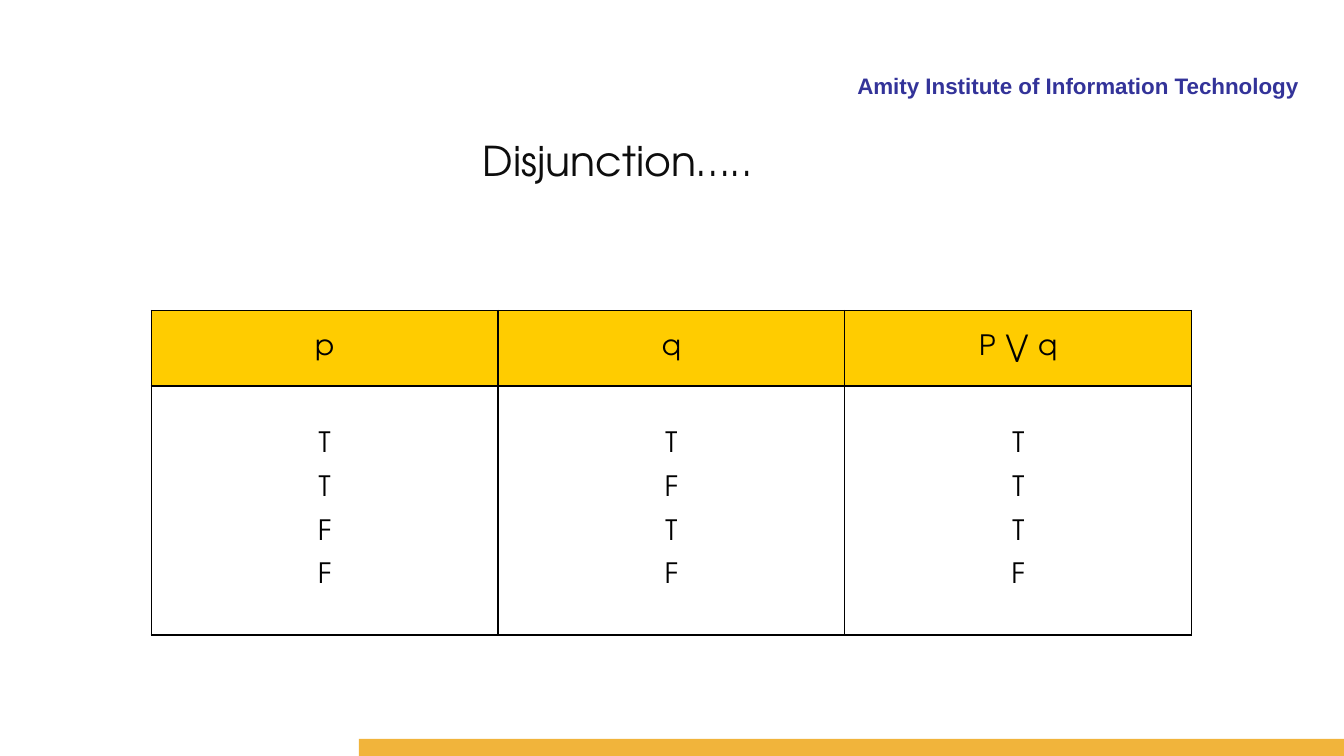
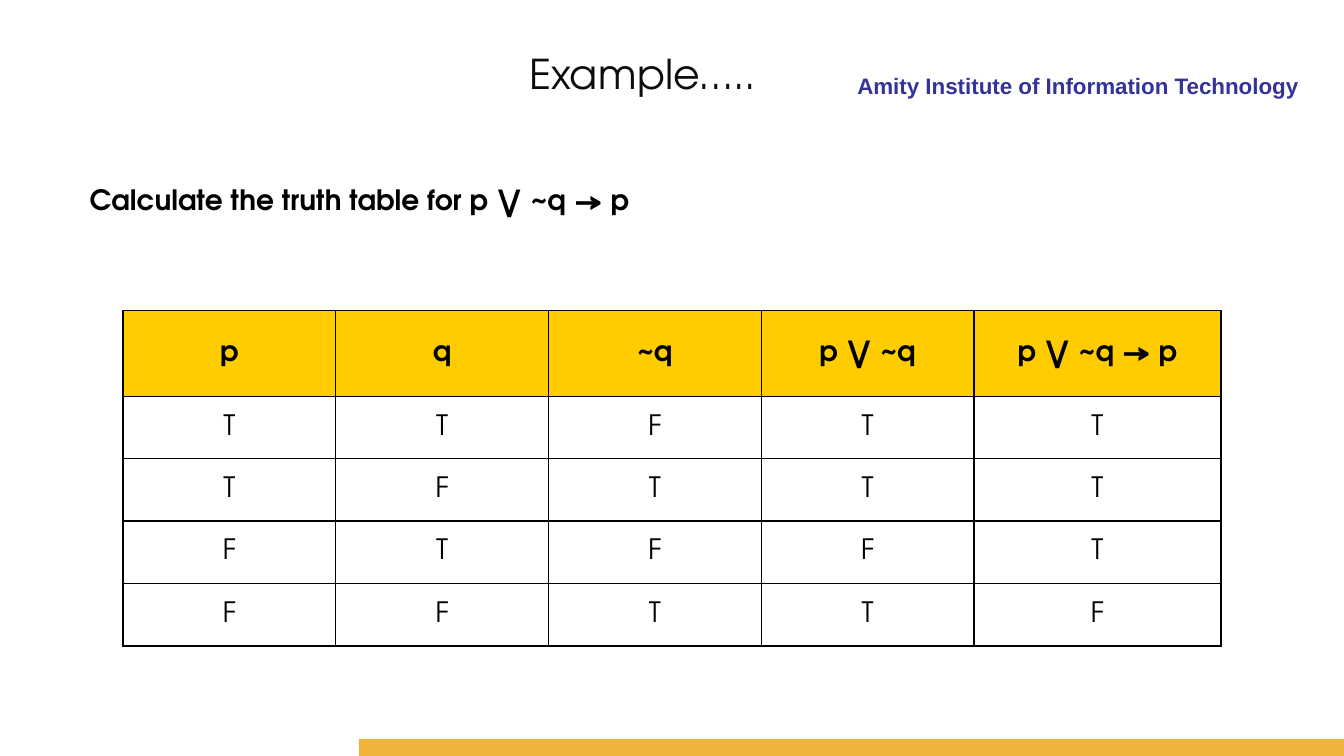
from lxml.etree import SubElement
from pptx import Presentation
from pptx.dml.color import RGBColor
from pptx.enum.shapes import MSO_SHAPE
from pptx.enum.text import MSO_ANCHOR, MSO_AUTO_SIZE, PP_ALIGN
from pptx.oxml.ns import qn
from pptx.util import Inches, Pt

COLORS = {
    "institute": "333399",
    "footer": "F1B43B",
    "header": "FFCC00",
    "title": "0D0D0D",
    "text": "000000",
    "border": "000000",
}
BODY_FONT = "TeX Gyre Adventor"
INSTITUTE_FONT = "Arial"
BODY_SIZE = 20
TITLE_SIZE = 29.3
BORDER_WIDTH = Pt(1)


def color(name):
    return RGBColor.from_string(COLORS[name])


def style_paragraph(paragraph, size, color_name, bold=False,
                    alignment=PP_ALIGN.LEFT, font_name=BODY_FONT):
    paragraph.alignment = alignment
    font = paragraph.font
    font.name = font_name
    font.size = Pt(size)
    font.bold = bold
    font.color.rgb = color(color_name)


def add_text(slide, box, text, size, color_name, wrap=True, **style):
    shape = slide.shapes.add_textbox(*map(Inches, box))
    frame = shape.text_frame
    frame.word_wrap = wrap
    frame.auto_size = MSO_AUTO_SIZE.SHAPE_TO_FIT_TEXT
    frame.text = text
    style_paragraph(frame.paragraphs[0], size, color_name, **style)


def add_footer_band(slide):
    shape = slide.shapes.add_shape(
        MSO_SHAPE.RECTANGLE, Inches(3.56), Inches(7.33), Inches(9.78), Inches(0.17))
    shape.shadow.inherit = False
    shape.fill.solid()
    shape.fill.fore_color.rgb = color("footer")
    shape.line.fill.background()


def add_base_slide(presentation, title, title_box):
    slide = presentation.slides.add_slide(presentation.slide_layouts[6])
    add_text(slide, (5.09, 0.67, 7.89, 0.33),
             "Amity Institute of Information Technology", 16, "institute",
             bold=True, alignment=PP_ALIGN.RIGHT, font_name=INSTITUTE_FONT)
    add_footer_band(slide)
    add_text(slide, title_box, title, TITLE_SIZE, "title", wrap=False)
    return slide


def add_borders(cell):
    properties = cell._tc.get_or_add_tcPr()
    for side in ("a:lnL", "a:lnR", "a:lnT", "a:lnB"):
        line = SubElement(properties, qn(side), w=str(int(BORDER_WIDTH)))
        fill = SubElement(line, qn("a:solidFill"))
        SubElement(fill, qn("a:srgbClr"), val=COLORS["border"])


def fill_cell(cell, text, is_header, bold, insets, gap):
    add_borders(cell)
    if is_header:
        cell.fill.solid()
        cell.fill.fore_color.rgb = color("header")
    else:
        cell.fill.background()
    cell.vertical_anchor = MSO_ANCHOR.MIDDLE
    cell.margin_left = cell.margin_right = Inches(insets[0])
    cell.margin_top = cell.margin_bottom = Inches(insets[1])
    cell.text = text
    for index, paragraph in enumerate(cell.text_frame.paragraphs):
        style_paragraph(paragraph, BODY_SIZE, "text", bold, PP_ALIGN.CENTER)
        if index:
            paragraph.space_before = Pt(gap)


def add_truth_table(slide, left, top, widths, heights, rows,
                    bold_header=False, insets=(0.1, 0.05), gap=0):
    frame = slide.shapes.add_table(
        len(rows), len(widths), Inches(left), Inches(top),
        Inches(sum(widths)), Inches(sum(heights)))
    table = frame.table
    table.first_row = False
    table.horz_banding = False
    for column, width in zip(table.columns, widths):
        column.width = Inches(width)
    for row_index, (row, height, texts) in enumerate(zip(table.rows, heights, rows)):
        row.height = Inches(height)
        is_header = row_index == 0
        for cell, text in zip(row.cells, texts):
            fill_cell(cell, text, is_header, is_header and bold_header, insets, gap)


def build_disjunction(presentation):
    slide = add_base_slide(presentation, "Disjunction…..", (4.69, 1.29, 2.99, 0.59))
    values = ["\n".join(column) for column in ("TTFF", "TFTF", "TTTF")]
    add_truth_table(slide, 1.5, 3.08, [3.44] * 3, [0.75, 2.47],
                    [["p", "q", "P ⋁ q"], values], insets=(0.16, 0.07), gap=12.6)


def build_example(presentation):
    slide = add_base_slide(presentation, "Example…..", (5.15, 0.43, 2.56, 0.59))
    add_text(slide, (0.79, 1.76, 11.65, 0.44),
             "Calculate the truth table for p ⋁ ~q → p", BODY_SIZE, "text",
             bold=True, alignment=PP_ALIGN.JUSTIFY)
    rows = [["p", "q", "~q", "p ⋁ ~q", "p ⋁ ~q → p"],
            "TTFTT", "TFTTT", "FTFFT", "FFTTF"]
    add_truth_table(slide, 1.22, 3.08, [2.11] * 4 + [2.45], [0.85] + [0.62] * 4,
                    rows, bold_header=True)


def main():
    presentation = Presentation()
    presentation.slide_width = Inches(13.33)
    presentation.slide_height = Inches(7.5)
    build_disjunction(presentation)
    build_example(presentation)
    presentation.save("out.pptx")


if __name__ == "__main__":
    main()
